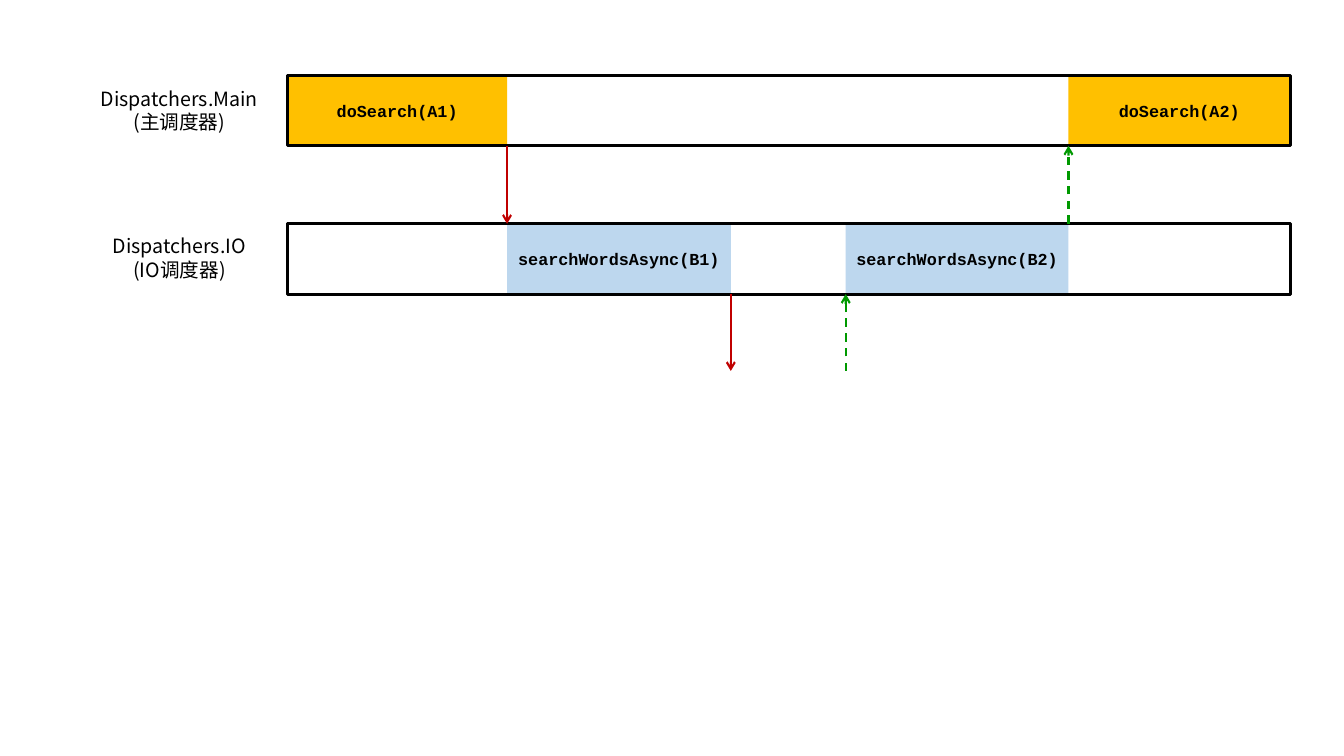
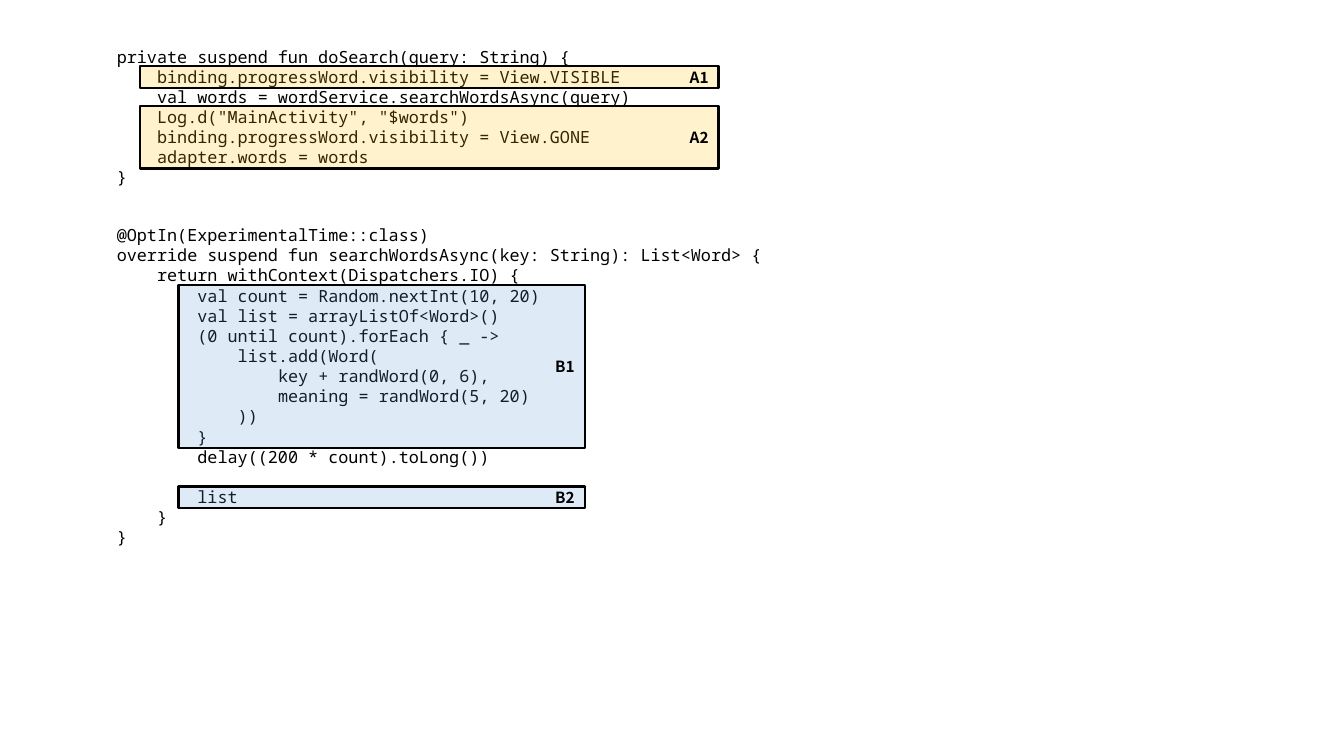
from lxml.etree import SubElement
from pptx import Presentation
from pptx.dml.color import RGBColor
from pptx.enum.dml import MSO_LINE
from pptx.enum.shapes import MSO_CONNECTOR, MSO_SHAPE
from pptx.enum.text import MSO_ANCHOR, MSO_AUTO_SIZE as AUTO, PP_ALIGN as ALIGN
from pptx.oxml.ns import qn
from pptx.util import Pt

BLACK, AMBER, PALE_BLUE, BLUE = "000000", "FFC000", "BDD7EE", "5B9BD5"
RED, GREEN = "C00000", "009900"
LABEL_FONT, CALL_FONT, CODE_FONT = "Noto Sans CJK SC", "Courier New", "Noto Sans Mono"
LEADING = 1.2
CODE_SIZE = 12
CODE_PITCH = CODE_SIZE * LEADING
INDENT = 28.8  # four characters of code
INSET = 3.6

DO_SEARCH = """\
private suspend fun doSearch(query: String) {
    binding.progressWord.visibility = View.VISIBLE
    val words = wordService.searchWordsAsync(query)
    Log.d("MainActivity", "$words")
    binding.progressWord.visibility = View.GONE
    adapter.words = words
}"""

SEARCH_WORDS = """\
@OptIn(ExperimentalTime::class)
override suspend fun searchWordsAsync(key: String): List<Word> {
    return withContext(Dispatchers.IO) {
        val count = Random.nextInt(10, 20)
        val list = arrayListOf<Word>()
        (0 until count).forEach { _ ->
            list.add(Word(
                key + randWord(0, 6),
                meaning = randWord(5, 20)
            ))
        }
        delay((200 * count).toLong())

        list
    }
}"""


def color(hex_code):
    return RGBColor.from_string(hex_code)


def write(paragraph, text, *, font, size, bold=False, align=ALIGN.LEFT, level=0, before=0):
    """Fill one paragraph with formatted text."""
    paragraph.alignment = align
    paragraph.line_spacing = Pt(round(size * LEADING, 2))
    paragraph.space_before = Pt(before)
    if level:
        properties = paragraph._p.get_or_add_pPr()
        properties.set("marL", str(Pt(level * INDENT)))
        properties.set("indent", "0")
    run = paragraph.add_run()
    run.text = text
    run.font.name, run.font.size, run.font.bold = font, Pt(size), bold
    run.font.color.rgb = color(BLACK)
    SubElement(run.font._element, qn("a:ea")).set("typeface", font)


class Deck:
    def __init__(self):
        self.prs = Presentation()
        self.prs.slide_width, self.prs.slide_height = Pt(960), Pt(540)
        self.slide = None

    def new_slide(self):
        self.slide = self.prs.slides.add_slide(self.prs.slide_layouts[6])

    def box(self, left, top, width, height, *, fill=None, alpha=None, line=0, text="", **style):
        rect = self.slide.shapes.add_shape(
            MSO_SHAPE.RECTANGLE, Pt(left), Pt(top), Pt(width), Pt(height))
        rect.shadow.inherit = False
        if fill:
            rect.fill.solid()
            rect.fill.fore_color.rgb = color(fill)
        else:
            rect.fill.background()
        if alpha:
            tint = rect.element.spPr.find(qn("a:solidFill"))[0]
            SubElement(tint, qn("a:alpha")).set("val", str(alpha * 1000))
        if line:
            rect.line.color.rgb, rect.line.width = color(BLACK), Pt(line)
        else:
            rect.line.fill.background()
        if text:
            rect.text_frame.vertical_anchor = MSO_ANCHOR.MIDDLE
            write(rect.text_frame.paragraphs[0], text, bold=True, **style)

    def text_frame(self, left, top, width, height, wrap):
        frame = self.slide.shapes.add_textbox(
            Pt(left), Pt(top), Pt(width), Pt(height)).text_frame
        frame.word_wrap, frame.auto_size = wrap, AUTO.SHAPE_TO_FIT_TEXT
        return frame

    def label(self, left, top, width, lines):
        frame = self.text_frame(left, top, width, 41, False)
        for i, text in enumerate(lines):
            paragraph = frame.add_paragraph() if i else frame.paragraphs[0]
            write(paragraph, text, font=LABEL_FONT, size=14, align=ALIGN.CENTER)

    def code(self, left, top, width, source):
        """Indent follows the leading spaces; an empty line becomes space before the next."""
        lines = source.split("\n")
        frame = self.text_frame(left, top, width, len(lines) * CODE_PITCH + 2 * INSET, True)
        before = 0
        for i, line in enumerate(lines):
            text = line.lstrip()
            if not text:
                before = CODE_PITCH
                continue
            paragraph = frame.add_paragraph() if i else frame.paragraphs[0]
            level = 1 + (len(line) - len(text)) // 4
            write(paragraph, text, font=CODE_FONT, size=CODE_SIZE, level=level, before=before)
            before = 0

    def arrow(self, x, start, end, hex_code, dashed=False):
        link = self.slide.shapes.add_connector(
            MSO_CONNECTOR.STRAIGHT, Pt(x), Pt(start), Pt(x), Pt(end))
        link.line.color.rgb, link.line.width = color(hex_code), Pt(1.5)
        if dashed:
            link.line.dash_style = MSO_LINE.DASH
        SubElement(link.line._get_or_add_ln(), qn("a:tailEnd")).set("type", "arrow")
        SubElement(link.element.spPr, qn("a:effectLst"))


def timeline(deck):
    deck.new_slide()
    lane_left, lane_right, lane_height = 205.2, 921.6, 50.2
    main_top, io_top, outside = 54, 159.9, 265
    main_bottom, io_bottom = main_top + lane_height, io_top + lane_height
    call_io, suspend, resume, back_main = 362.2, 522, 604.1, 763.2

    # Running parts of each function
    for start, end, top, fill, call in (
            (back_main, lane_right, main_top, AMBER, "doSearch(A2)"),
            (resume, back_main, io_top, PALE_BLUE, "searchWordsAsync(B2)"),
            (suspend - (suspend - call_io), suspend, io_top, PALE_BLUE, "searchWordsAsync(B1)"),
            (lane_left, call_io, main_top, AMBER, "doSearch(A1)")):
        deck.box(start, top, end - start, lane_height, fill=fill, text=call,
                 font=CALL_FONT, size=12, align=ALIGN.CENTER)

    # Dispatcher lanes
    for top in (main_top, io_top):
        deck.box(lane_left, top, lane_right - lane_left, lane_height, line=2)
    deck.label(62.6, 58.3, 131, ("Dispatchers.Main", "(主调度器)"))
    deck.label(72, 163.8, 112.3, ("Dispatchers.IO", "(IO调度器)"))

    # Suspending and resuming
    deck.arrow(call_io, main_bottom, io_top, RED)
    deck.arrow(suspend, io_bottom, outside, RED)
    deck.arrow(resume, outside, io_bottom, GREEN, dashed=True)
    deck.arrow(back_main, io_top, main_bottom, GREEN, dashed=True)


def listing(deck):
    deck.new_slide()
    code_left, search_top, words_top = 47.5, 29.5, 157

    # Code
    deck.code(code_left, search_top, 480, DO_SEARCH)
    deck.code(code_left, words_top, 533.5, SEARCH_WORDS)

    # Marked parts: first line and number of lines within the code
    for name, code_top, first, count, left, width, fill in (
            ("A1", search_top, 1, 1, 100, 413.3, AMBER),
            ("A2", search_top, 3, 3, 100, 413.3, AMBER),
            ("B1", words_top, 3, 8, 127.5, 290.2, BLUE),
            ("B2", words_top, 13, 1, 127.5, 290.2, BLUE)):
        deck.box(left, code_top + INSET + first * CODE_PITCH - 0.3, width,
                 count * CODE_PITCH + 1.2, fill=fill, alpha=20, line=1.5, text=name,
                 font=LABEL_FONT, size=11, align=ALIGN.RIGHT)


def main():
    deck = Deck()
    timeline(deck)
    listing(deck)
    deck.prs.save("out.pptx")


if __name__ == "__main__":
    main()
